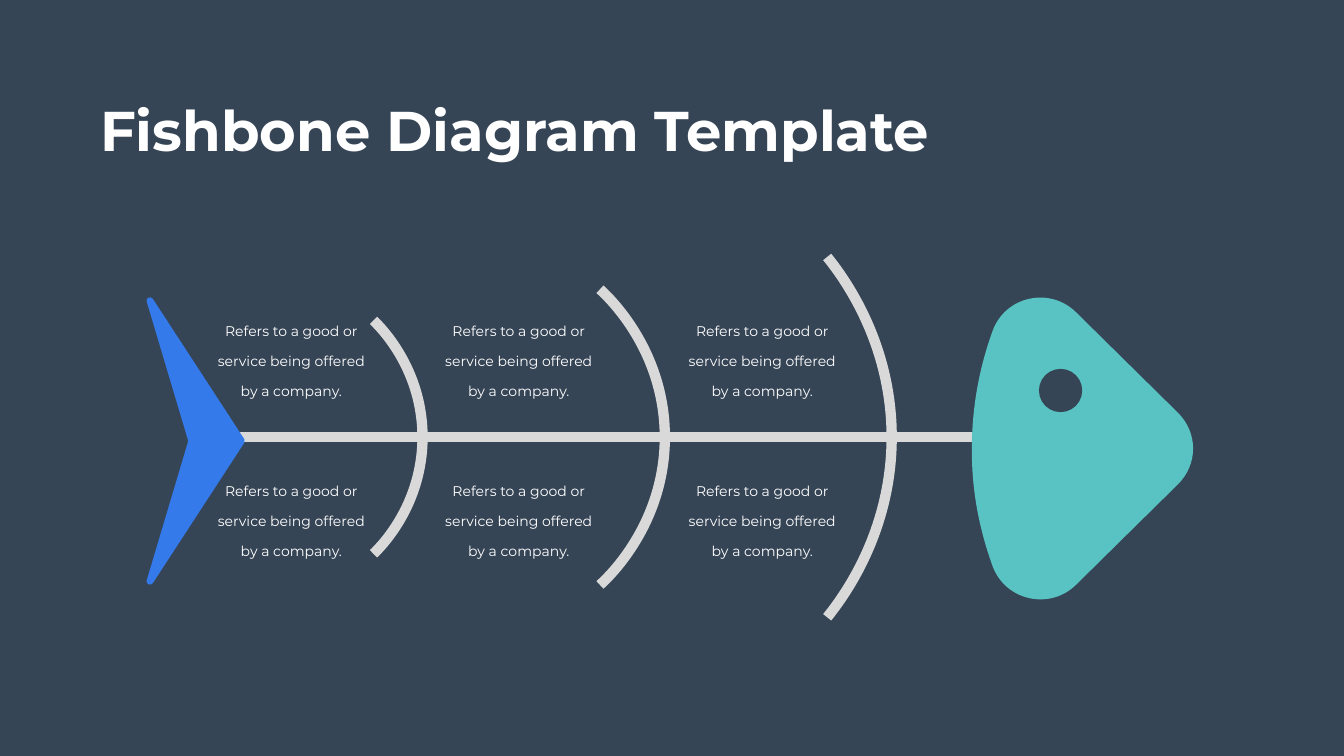
"""Builds the fishbone diagram slide."""
from dataclasses import dataclass
from itertools import chain, product

from lxml.etree import SubElement
from pptx import Presentation
from pptx.dml.color import RGBColor
from pptx.enum.shapes import MSO_CONNECTOR as Link, MSO_SHAPE as Preset
from pptx.enum.text import MSO_AUTO_SIZE as AutoSize, PP_ALIGN as Align
from pptx.oxml.ns import qn
from pptx.slide import Slide
from pptx.util import Cm, Pt

COLORS = {"night": "364556", "bone": "D9D9D9", "head": "58C3C2", "tail": "347AEB", "text": "FFFFFF"}
SPINE_Y = 22.03
RIBS = [
    [(41.68, 12.95), (42.42, 13.87), (44.93, 17.17), (44.93, SPINE_Y)],
    [(30.23, 14.58), (30.71, 15.01), (33.5, 17.68), (33.5, SPINE_Y)],
    [(18.82, 16.15), (19.23, 16.54), (21.29, 18.64), (21.29, SPINE_Y)],
]
HEAD = [
    [(54.23, 15.75)],
    [(59.33, 20.78)],
    [(60.38, 21.79), (60.38, 23.42), (59.33, 24.43)],
    [(54.23, 29.46)],
    [(52.91, 30.78), (50.65, 30.28), (50.01, 28.52)],
    [(49.45, 26.97), (48.97, 25.02), (48.97, 22.76)],
    [(48.95, 20.35), (49.43, 18.29), (50.01, 16.69)],
    [(50.65, 14.91), (52.91, 14.43), (54.23, 15.75)],
]
TAIL = [
    [(7.39, 15.19)],
    [(9.47, 22.17)],
    [(9.47, 22.19), (9.47, 22.26), (9.47, 22.28)],
    [(7.39, 29.26)],
    [(7.34, 29.44), (7.59, 29.54), (7.7, 29.39)],
    [(12.32, 22.3)],
    [(12.34, 22.25), (12.34, 22.2), (12.32, 22.15)],
    [(7.7, 15.06)],
    [(7.59, 14.91), (7.34, 15.01), (7.39, 15.19)],
]
NOTE = "Refers to a good or service being offered by a company."


@dataclass
class Fishbone:
    """Holds the style and the current slide."""

    slide: Slide
    font: str = "Montserrat"
    bone_width: float = 14.75

    def color(self, name):
        """Look up a colour by its role."""
        return RGBColor.from_string(COLORS[name])

    def background(self, name):
        """Fill the slide background."""
        fill = self.slide.background.fill
        fill.solid()
        fill.fore_color.rgb = self.color(name)

    def stroke(self, line):
        """Give a line the look of a bone."""
        line.color.rgb = self.color("bone")
        line.width = Pt(self.bone_width)

    def paint(self, shape, name):
        """Fill a shape and drop its outline and shadow."""
        shape.shadow.inherit = False
        shape.fill.solid()
        shape.fill.fore_color.rgb = self.color(name)
        shape.line.fill.background()

    def outline(self, segments, close):
        """Build a freeform whose three-point segments are cubic curves."""
        points = [(Cm(x), Cm(y)) for x, y in chain(*segments)]
        builder = self.slide.shapes.build_freeform(*points[0])
        builder.add_line_segments(points[1:], close=close)
        shape = builder.convert_to_shape()
        steps = iter(list(shape.element.iter(qn("a:lnTo"))))
        for segment in segments[1:]:
            first, *others = [next(steps) for _ in segment]
            if others:
                curve = first.makeelement(qn("a:cubicBezTo"))
                first.addprevious(curve)
                for step in (first, *others):
                    curve.append(step[0])
                    step.getparent().remove(step)
        return shape

    def spine(self, left, right):
        """Draw the straight backbone."""
        bone = self.slide.shapes.add_connector(
            Link.STRAIGHT, Cm(right), Cm(SPINE_Y), Cm(left), Cm(SPINE_Y))
        self.stroke(bone.line)
        SubElement(bone.element.spPr, qn("a:effectLst"))

    def rib(self, upper):
        """Draw a rib mirrored across the spine."""
        lower = [(x, 2 * SPINE_Y - y) for x, y in reversed(upper)]
        bone = self.outline([upper[:1], upper[1:], lower[1:]], close=False)
        bone.shadow.inherit = False
        bone.fill.background()
        self.stroke(bone.line)

    def body(self, segments, name):
        """Draw a filled part of the fish."""
        self.paint(self.outline(segments, close=True), name)

    def eye(self, left, top, size):
        """Draw the round eye."""
        self.paint(self.slide.shapes.add_shape(Preset.OVAL, Cm(left), Cm(top), Cm(size), Cm(size)), "night")

    def text(self, words, box, size, bold=False):
        """Add a text box and return its frame."""
        frame = self.slide.shapes.add_textbox(*map(Cm, box)).text_frame
        frame.text = words
        frame.auto_size = AutoSize.SHAPE_TO_FIT_TEXT
        font = frame.paragraphs[0].runs[0].font
        font.name, font.size, font.bold = self.font, Pt(size), bold
        font.color.rgb = self.color("text")
        return frame

    def note(self, left, top):
        """Add a centred note beside a rib."""
        frame = self.text(NOTE, (left, top, 9.4, 5.03), 20)
        frame.word_wrap = True
        frame.margin_left = frame.margin_right = Cm(0.61)
        frame.margin_top = frame.margin_bottom = Cm(0.3)
        frame.paragraphs[0].alignment = Align.CENTER
        frame.paragraphs[0].line_spacing = Pt(43)

    def title(self, words):
        """Add the slide title."""
        self.text(words, (4.8, 4.7, 42.44, 3.68), 80, bold=True).word_wrap = False


def main():
    """Build and save the slide."""
    deck = Presentation()
    deck.slide_width, deck.slide_height = Cm(67.72), Cm(38.1)
    fish = Fishbone(deck.slides.add_slide(deck.slide_layouts[6]))
    fish.background("night")
    fish.spine(11.23, 50.67)
    for upper in RIBS:
        fish.rib(upper)
    fish.body(HEAD, "head")
    fish.eye(52.35, 18.59, 2.18)
    fish.body(TAIL, "tail")
    for top, left in product((15.29, 23.34), (9.98, 21.44, 33.71)):
        fish.note(left, top)
    fish.title("Fishbone Diagram Template")
    deck.save("out.pptx")


if __name__ == "__main__":
    main()
